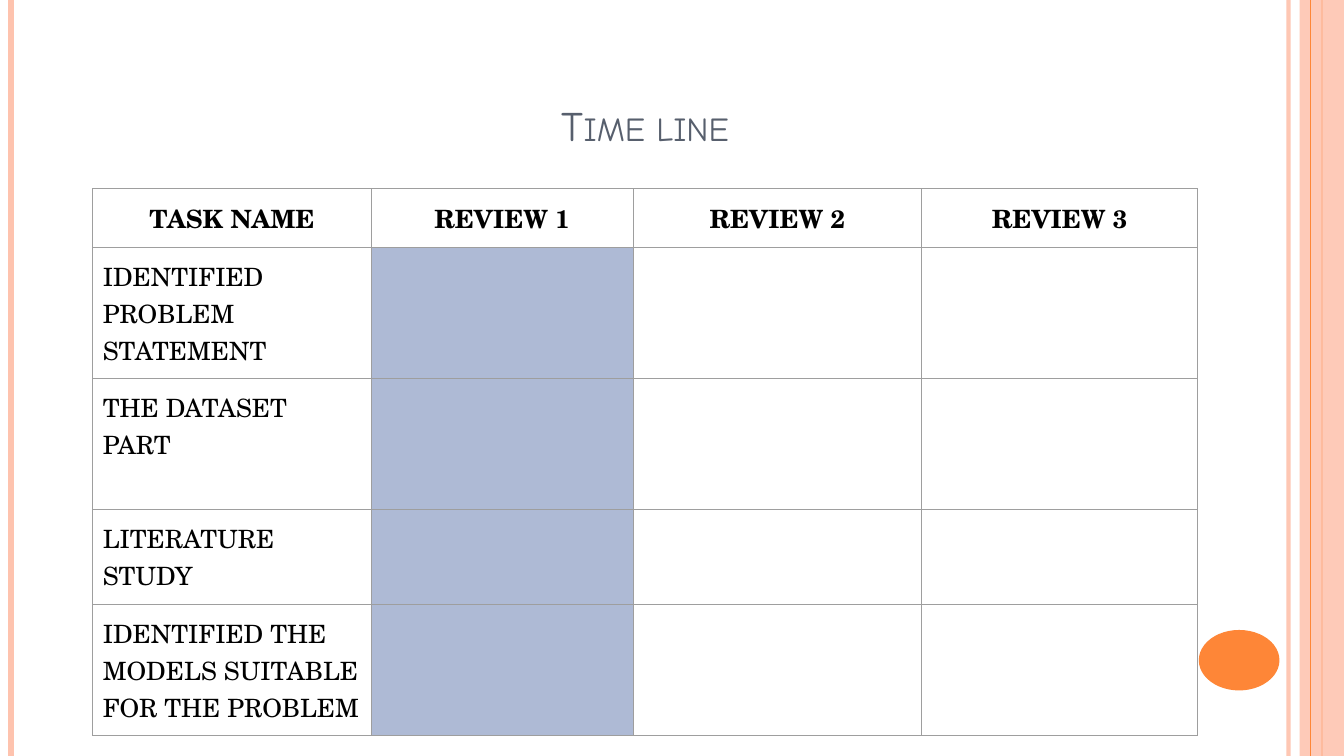
from lxml import etree
from pptx import Presentation
from pptx.dml.color import RGBColor
from pptx.enum import shapes, text
from pptx.oxml import ns
from pptx.util import Inches, Pt

TITLE = "Time line"
HEADERS = ["TASK NAME", "REVIEW 1", "REVIEW 2", "REVIEW 3"]
TASKS = [
    "IDENTIFIED PROBLEM STATEMENT",
    "THE DATASET PART",
    "LITERATURE STUDY",
    "IDENTIFIED THE MODELS SUITABLE FOR THE PROBLEM",
]
DONE_COLUMN = 1
COL_WIDTHS = [2.76, 2.6, 2.86, 2.74]
ROW_HEIGHTS = [0.58, 1.3, 1.3, 0.94, 1.3]
COLORS = {"peach": "FEC3AE", "orange": "FE8637", "title": "575F6D",
          "text": "000000", "done": "AEBAD5", "border": "9E9E9E"}
FONTS = {"title": "Comic Neue", "table": "TeX Gyre Schola"}
# x, colour, width in points, opacity in percent
STRIPES_BEHIND = [(12.78, "peach", 3, 93), (0.11, "peach", 4.5, 100),
                  (13.11, "orange", 1.5, 100)]
STRIPES_FRONT = [(13, "orange", 0.75, 100)]
WIDTH, HEIGHT = 13.33, 7.5
LEFT, TABLE_TOP = 0.92, 1.87


def rgb(name):
    """Return the named colour."""
    return RGBColor.from_string(COLORS[name])


def set_opacity(element, percent):
    """Make the solid colour inside an element partly transparent."""
    color = element.find(".//" + ns.qn("a:srgbClr"))
    etree.SubElement(color, ns.qn("a:alpha"), val=str(percent * 1000))


def add_stripe(s, x, color, width, opacity):
    """Draw a full-height vertical line."""
    line = s.shapes.add_connector(shapes.MSO_CONNECTOR.STRAIGHT,
                                  Inches(x), 0, Inches(x), Inches(HEIGHT))
    line.line.color.rgb = rgb(color)
    line.line.width = Pt(width)
    props = line._element.spPr
    if opacity < 100:
        set_opacity(props, opacity)
    etree.SubElement(props, ns.qn("a:effectLst"))


def add_block(s, kind, box, color):
    """Draw a plain filled shape."""
    sp = s.shapes.add_shape(kind, *map(Inches, box))
    sp.shadow.inherit = False
    sp.fill.solid()
    sp.fill.fore_color.rgb = rgb(color)
    sp.line.fill.background()
    return sp


def style_run(r, font, size, color, bold=False):
    """Set the font of a run."""
    r.font.name, r.font.size, r.font.bold = FONTS[font], Pt(size), bold
    r.font.color.rgb = rgb(color)


def add_borders(cell):
    """Draw a thin line on all four sides of a cell."""
    props = cell._tc.get_or_add_tcPr()
    for i, side in enumerate("LRTB"):
        ln = etree.Element(ns.qn(f"a:ln{side}"), w=str(Pt(0.75)))
        fill = etree.SubElement(ln, ns.qn("a:solidFill"))
        etree.SubElement(fill, ns.qn("a:srgbClr"), val=COLORS["border"])
        props.insert(i, ln)


def fill_cell(cell, label, header, done):
    """Write and format one table cell."""
    cell.margin_left = cell.margin_right = Inches(0.1)
    cell.margin_top = cell.margin_bottom = Inches(0.1)
    if done:
        cell.fill.solid()
        cell.fill.fore_color.rgb = rgb("done")
    else:
        cell.fill.background()
    add_borders(cell)
    cell.text_frame.text = label
    p = cell.text_frame.paragraphs[0]
    p.alignment = text.PP_ALIGN.CENTER if header else text.PP_ALIGN.LEFT
    for r in p.runs:
        style_run(r, "table", 18, "text", header)


def add_title(s):
    """Place the title in small capitals."""
    sp = s.shapes.title
    sp.left, sp.top = Inches(LEFT), Inches(0.6)
    sp.width, sp.height = Inches(sum(COL_WIDTHS)), Inches(0.94)
    tf = sp.text_frame
    tf.text = TITLE
    tf.vertical_anchor = text.MSO_ANCHOR.BOTTOM
    p = tf.paragraphs[0]
    p.alignment = text.PP_ALIGN.CENTER
    style_run(p.runs[0], "title", 30, "title")
    p.runs[0].font._element.set("cap", "small")


def add_timeline(s):
    """Build the table of tasks against reviews."""
    rows = [HEADERS] + [[task] + [""] * (len(HEADERS) - 1) for task in TASKS]
    table = s.shapes.add_table(
        len(rows), len(HEADERS), Inches(LEFT), Inches(TABLE_TOP),
        Inches(sum(COL_WIDTHS)), Inches(sum(ROW_HEIGHTS))).table
    table.horz_banding = False
    for column, width in zip(table.columns, COL_WIDTHS):
        column.width = Inches(width)
    for i, labels in enumerate(rows):
        table.rows[i].height = Inches(ROW_HEIGHTS[i])
        for j, label in enumerate(labels):
            fill_cell(table.cell(i, j), label, i == 0,
                      i > 0 and j == DONE_COLUMN)


prs = Presentation()
prs.slide_width, prs.slide_height = Inches(WIDTH), Inches(HEIGHT)
s = prs.slides.add_slide(prs.slide_layouts[5])
for stripe in STRIPES_BEHIND:
    add_stripe(s, *stripe)
band = add_block(s, shapes.MSO_SHAPE.RECTANGLE, (12.89, 0, 0.44, HEIGHT), "peach")
set_opacity(band._element.spPr, 87)
for stripe in STRIPES_FRONT:
    add_stripe(s, *stripe)
add_block(s, shapes.MSO_SHAPE.OVAL, (11.89, 6.25, 0.8, 0.6), "orange")
add_title(s)
add_timeline(s)
prs.save("out.pptx")
